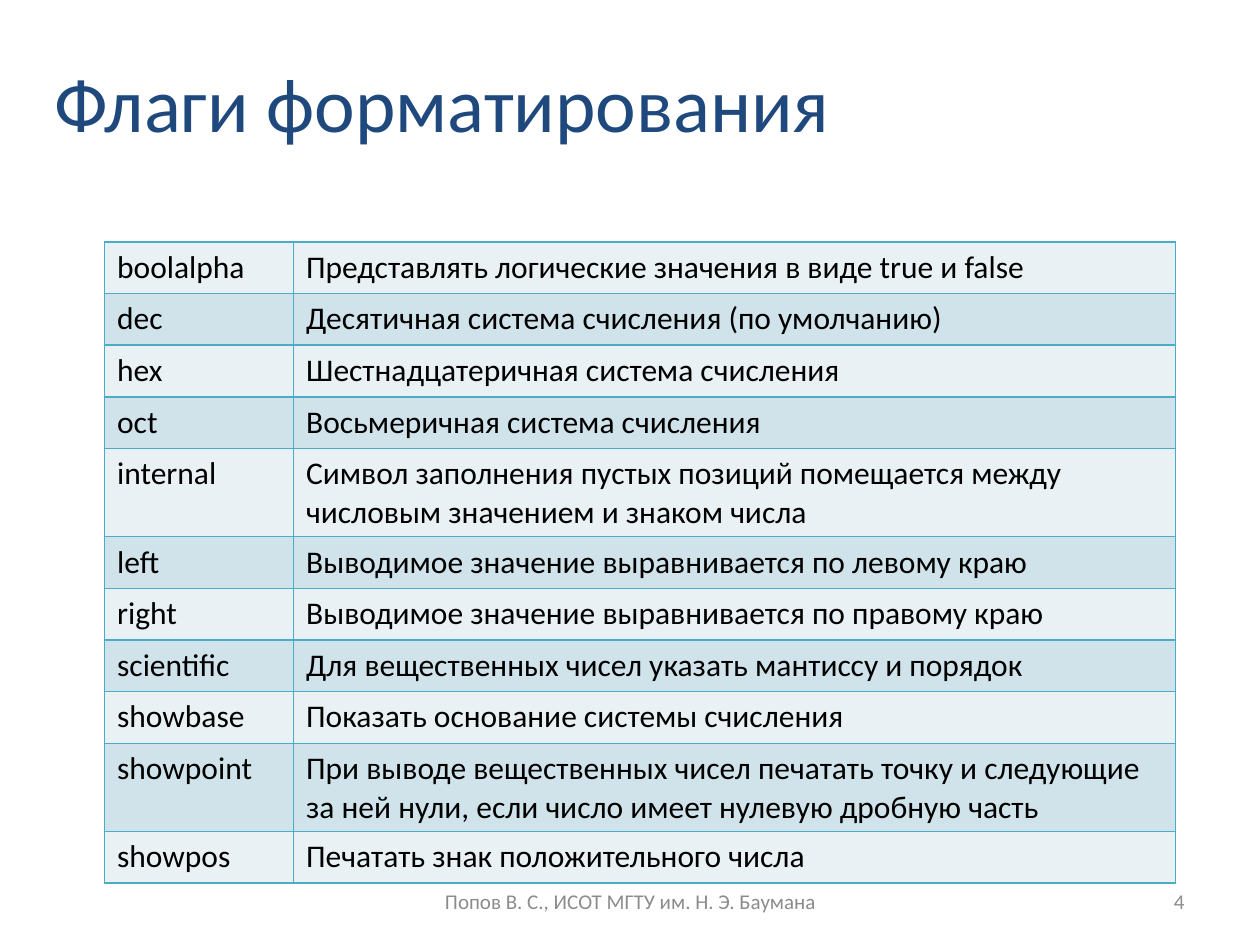
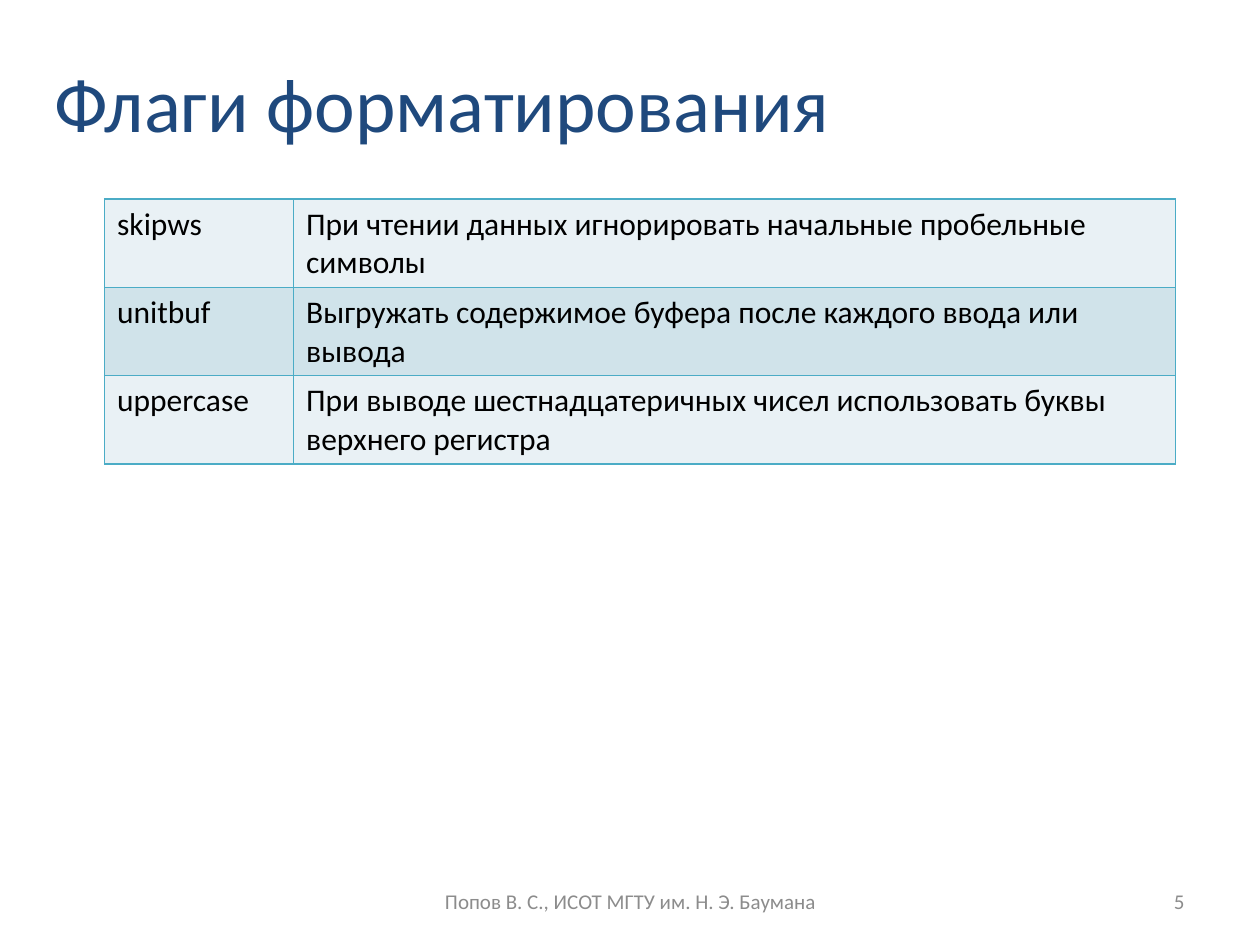
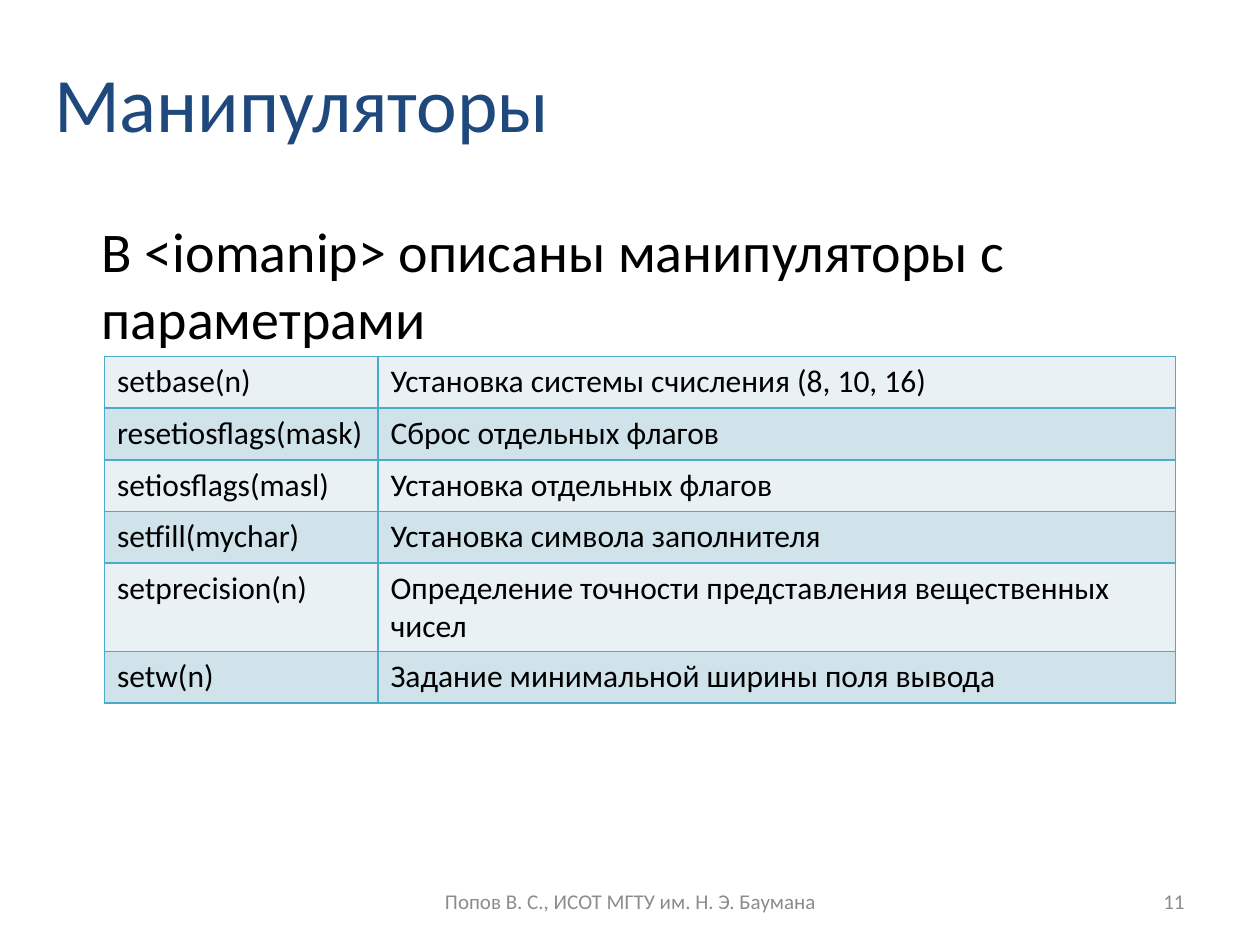
from pptx import Presentation
from pptx.dml.color import RGBColor
from pptx.enum.text import MSO_ANCHOR, PP_ALIGN
from pptx.oxml import parse_xml
from pptx.oxml.ns import nsdecls
from pptx.util import Inches, Pt

# Shared style
FONT = "Calibri"
TITLE, TEXT, MUTED = "1F497D", "000000", "8C8C8C"
BORDER, BANDS = "4BACC6", ("E9F1F5", "D0E3EA")
TABLE_LEFT, TABLE_WIDTH, ROW_HEIGHT = 0.83, 8.5, 0.41
FOOTER = "Попов В. С., ИСОТ МГТУ им. Н. Э. Баумана"

# Content
SLIDES = [
    {
        "title": "Флаги форматирования", "number": 4, "top": 1.92, "key_width": 1.5,
        "rows": [
            ("boolalpha", "Представлять логические значения в виде true и false"),
            ("dec", "Десятичная система счисления (по умолчанию)"),
            ("hex", "Шестнадцатеричная система счисления"),
            ("oct", "Восьмеричная система счисления"),
            ("internal", "Символ заполнения пустых позиций помещается между "
                         "числовым значением и знаком числа"),
            ("left", "Выводимое значение выравнивается по левому краю"),
            ("right", "Выводимое значение выравнивается по правому краю"),
            ("scientific", "Для вещественных чисел указать мантиссу и порядок"),
            ("showbase", "Показать основание системы счисления"),
            ("showpoint", "При выводе вещественных чисел печатать точку и следующие "
                          "за ней нули, если число имеет нулевую дробную часть"),
            ("showpos", "Печатать знак положительного числа"),
        ],
    },
    {
        "title": "Флаги форматирования", "number": 5, "top": 1.58, "key_width": 1.5,
        "rows": [
            ("skipws", "При чтении данных игнорировать начальные пробельные символы"),
            ("unitbuf", "Выгружать содержимое буфера после каждого ввода или вывода"),
            ("uppercase", "При выводе шестнадцатеричных чисел использовать буквы "
                          "верхнего регистра"),
        ],
    },
    {
        "title": "Манипуляторы", "number": 11, "top": 2.83, "key_width": 2.17,
        "intro": "В <iomanip> описаны манипуляторы с параметрами",
        "rows": [
            ("setbase(n)", "Установка системы счисления (8, 10, 16)"),
            ("resetiosflags(mask)", "Сброс отдельных флагов"),
            ("setiosflags(masl)", "Установка отдельных флагов"),
            ("setfill(mychar)", "Установка символа заполнителя"),
            ("setprecision(n)", "Определение точности представления вещественных чисел"),
            ("setw(n)", "Задание минимальной ширины поля вывода"),
        ],
    },
]


def rgb(color):
    return RGBColor.from_string(color)


def write(tf, text, size, color, align=PP_ALIGN.LEFT):
    tf.text = text
    p = tf.paragraphs[0]
    p.alignment = align
    p.font.name, p.font.size = FONT, Pt(size)
    p.font.color.rgb = rgb(color)
    return p


def add_text(s, box, text, size, color, align=PP_ALIGN.LEFT, anchor=MSO_ANCHOR.MIDDLE):
    tf = s.shapes.add_textbox(*map(Inches, box)).text_frame
    tf.word_wrap = True
    tf.vertical_anchor = anchor
    return write(tf, text, size, color, align)


def add_title(s, text):
    sp = s.shapes.title
    sp.left, sp.top, sp.width, sp.height = map(Inches, (0.33, 0, 8.17, 1.61))
    sp.text_frame.vertical_anchor = MSO_ANCHOR.MIDDLE
    write(sp.text_frame, text, 44, TITLE)


def add_borders(cell):
    tcPr = cell._tc.get_or_add_tcPr()
    for side in "LRTB":
        tcPr.append(parse_xml(
            f'<a:ln{side} {nsdecls("a")} w="{Pt(1)}"><a:solidFill>'
            f'<a:srgbClr val="{BORDER}"/></a:solidFill></a:ln{side}>'))


def add_reference_table(s, rows, top, key_width):
    box = TABLE_LEFT, top, TABLE_WIDTH, ROW_HEIGHT * len(rows)
    table = s.shapes.add_table(len(rows), 2, *map(Inches, box)).table
    table.first_row = False
    for column, width in zip(table.columns, (key_width, TABLE_WIDTH - key_width)):
        column.width = Inches(width)
    for i, row in enumerate(rows):
        for j, text in enumerate(row):
            cell = table.cell(i, j)
            add_borders(cell)
            cell.fill.solid()
            cell.fill.fore_color.rgb = rgb(BANDS[i % 2])
            write(cell.text_frame, text, 18, TEXT)


def add_intro(s, text):
    p = add_text(s, (0.33, 1.67, 9.33, 1.18), text, 32, TEXT, anchor=MSO_ANCHOR.TOP)
    pPr = p._p.get_or_add_pPr()
    pPr.set("marL", str(Inches(0.38)))
    pPr.set("indent", "0")


def main():
    prs = Presentation()
    prs.slide_width, prs.slide_height = Inches(10), Inches(7.5)
    for content in SLIDES:
        s = prs.slides.add_slide(prs.slide_layouts[5])
        add_title(s, content["title"])
        # Footer
        add_text(s, (7.17, 6.95, 2.33, 0.4), str(content["number"]), 12, MUTED, PP_ALIGN.RIGHT)
        add_text(s, (3.42, 6.95, 3.17, 0.4), FOOTER, 12, MUTED, PP_ALIGN.CENTER)
        # Body
        add_reference_table(s, content["rows"], content["top"], content["key_width"])
        if "intro" in content:
            add_intro(s, content["intro"])
    prs.save("out.pptx")


if __name__ == "__main__":
    main()
